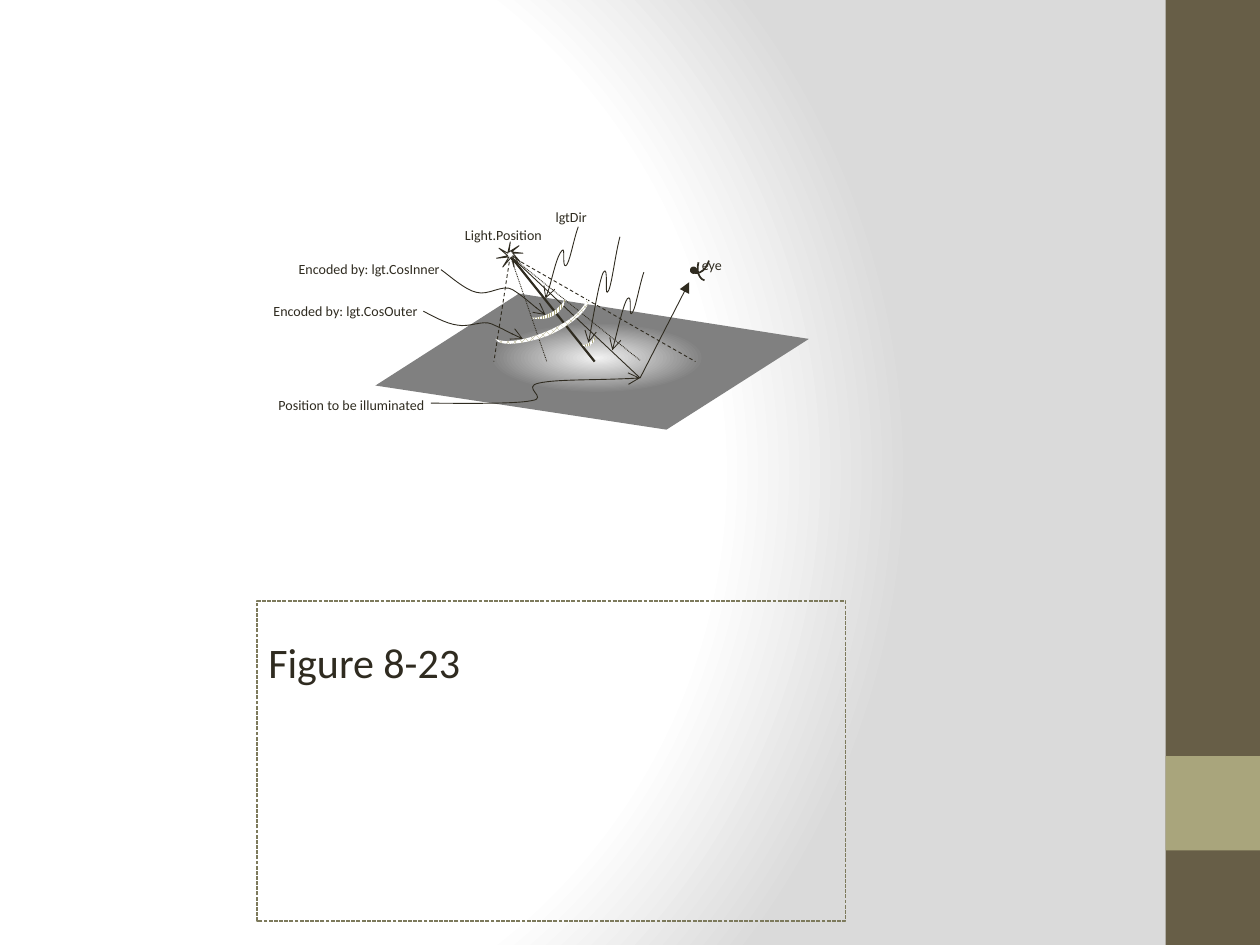
import lxml.etree
import pptx
import pptx.util
import pptx.dml.color
import pptx.enum.dml
import pptx.enum.shapes
import pptx.oxml
import pptx.oxml.ns

qn = pptx.oxml.ns.qn
DASH = pptx.enum.dml.MSO_LINE
PATTERN = pptx.enum.dml.MSO_PATTERN
SHAPE = pptx.enum.shapes.MSO_SHAPE

COLORS = {"ink": "2F2B20", "brown": "675E47", "olive": "A9A57C", "frame": "7D7A5C",
          "white": "FFFFFF", "edge": "DADADA", "plane": "808080", "glow": "F2F2F2"}

BARS = [(9.25, 0, 0.75, 7.5, "brown"), (9.25, 6, 0.75, 0.75, "olive")]
FRAME = (2.04, 4.77, 4.67, 2.54)
PLANE = [(2.98, 3.06), (4.12, 2.33), (6.42, 2.69), (5.29, 3.41)]
GLOW = {"center": (4.74, 2.84), "size": (1.66, 0.54), "steps": 30}

LIGHT = (4.05, 2.03)
RAYS = [((4.34, 2.87), 0.5, DASH.ROUND_DOT), ((5.52, 2.87), 0.5, DASH.DASH),
        ((3.92, 2.87), 0.5, DASH.DASH), ((4.72, 2.87), 1.25, None),
        ((5.08, 3), 0.5, None), ((5.08, 2.86), 0.5, DASH.ROUND_DOT)]
EYE_RAY = ((5.47, 2.24), (5.08, 3))

ANGLE_BANDS = [
    ([(4.67, 2.37), (4.69, 2.47), (4.48, 2.61), (4.36, 2.66), (4.24, 2.71), (3.97, 2.77),
      (3.93, 2.69), (4.02, 2.73), (4.17, 2.7), (4.34, 2.63), (4.51, 2.56), (4.62, 2.47),
      (4.66, 2.38)], PATTERN.LARGE_CHECKER_BOARD),
    ([(4.72, 2.67), (4.74, 2.71), (4.69, 2.73), (4.68, 2.74), (4.68, 2.75), (4.7, 2.74),
      (4.69, 2.74), (4.67, 2.75), (4.62, 2.76), (4.62, 2.73), (4.63, 2.76), (4.72, 2.7),
      (4.72, 2.67)], PATTERN.LIGHT_VERTICAL),
    ([(4.48, 2.37), (4.5, 2.41), (4.44, 2.48), (4.4, 2.5), (4.36, 2.53), (4.24, 2.55),
      (4.22, 2.52), (4.26, 2.53), (4.35, 2.5), (4.41, 2.46), (4.46, 2.41), (4.47, 2.41),
      (4.48, 2.37)], PATTERN.LIGHT_VERTICAL)]

STAR = [(3.96, 1.97), (4.03, 2.01), (4.05, 1.92), (4.04, 2), (4.12, 1.95), (4.06, 2),
        (4.15, 2.01), (4.07, 2.01), (4.13, 2.08), (4.07, 2.03), (4.08, 2.12), (4.06, 2.04),
        (3.99, 2.12), (4.04, 2.04), (3.94, 2.05), (4.03, 2.03)]

POINTERS = [
    ([(5.11, 2.16), (5.07, 2.28), (5.04, 2.48), (5.01, 2.49), (4.99, 2.5), (5.02, 2.33),
      (4.98, 2.37), (4.95, 2.41), (4.88, 2.71), (4.86, 2.78)], "tailEnd"),
    ([(4.59, 1.8), (4.55, 1.91), (4.52, 2.1), (4.49, 2.11), (4.46, 2.12), (4.49, 1.95),
      (4.46, 1.99), (4.42, 2.03), (4.36, 2.31), (4.33, 2.37)], "tailEnd"),
    ([(4.92, 1.88), (4.88, 2.03), (4.85, 2.31), (4.82, 2.32), (4.8, 2.34), (4.83, 2.1),
      (4.79, 2.16), (4.76, 2.21), (4.69, 2.62), (4.67, 2.72)], "tailEnd"),
    ([(5.08, 3), (4.73, 3.02), (4.42, 3.01), (4.28, 3.04), (4.13, 3.07), (4.36, 3.16),
      (4.22, 3.18), (4.08, 3.21), (3.56, 3.2), (3.42, 3.2)], "headEnd"),
    ([(4.33, 2.5), (4.32, 2.5), (4.15, 2.35), (4.07, 2.3), (3.99, 2.25), (3.88, 2.35),
      (3.78, 2.32), (3.69, 2.3), (3.57, 2.19), (3.5, 2.14)], "headEnd"),
    ([(4.15, 2.69), (4.14, 2.69), (3.97, 2.6), (3.9, 2.57), (3.83, 2.54), (3.72, 2.6),
      (3.63, 2.58), (3.54, 2.57), (3.42, 2.5), (3.36, 2.47)], "headEnd")]

LABELS = [("eye", 5.57, 1.99, 0.19, 0.24, 8),
          ("Light.Position", 3.69, 1.75, 0.64, 0.24, 8),
          ("Position to be illuminated", 2.21, 3.1, 1.19, 0.24, 8),
          ("Encoded by: lgt.CosOuter", 2.17, 2.35, 1.19, 0.24, 8),
          ("Encoded by: lgt.CosInner", 2.37, 2.02, 1.19, 0.24, 8),
          ("lgtDir", 4.41, 1.61, 0.28, 0.24, 8),
          ("Figure 8-23", 2.13, 5, 3.93, 0.5, 24)]


def cm(inches):
    return pptx.util.Cm(inches * 2.54)


def rgb(name):
    return pptx.dml.color.RGBColor.from_string(COLORS.get(name, name))


def stroke(sp, color="ink", width=0.5, dash=None, end=None, head="arrow"):
    sp.line.color.rgb = rgb(color)
    sp.line.width = pptx.util.Pt(width)
    if dash:
        sp.line.dash_style = dash
    if end:
        ln = sp.line._get_or_add_ln()
        lxml.etree.SubElement(ln, qn("a:" + end), type=head)


def fill(sp, color=None):
    if color:
        sp.fill.solid()
        sp.fill.fore_color.rgb = rgb(color)
    else:
        sp.fill.background()
    sp.line.fill.background()
    sp.shadow.inherit = False
    return sp


def preset(shapes, kind, box, color=None):
    return fill(shapes.add_shape(kind, *map(cm, box)), color)


def outline(points, color=None, close=True, curved=False):
    pts = [(cm(x), cm(y)) for x, y in points]
    fb = s.shapes.build_freeform(*pts[0], scale=1.0)
    fb.add_line_segments(pts[1:], close=close)
    sp = fill(fb.convert_to_shape(), color)
    if curved:
        path = sp._element.find(".//" + qn("a:path"))
        for i, seg in enumerate(path.findall(qn("a:lnTo"))):
            if i % 3 == 0:
                seg.tag, curve = qn("a:cubicBezTo"), seg
            else:
                curve.append(seg[0])
                path.remove(seg)
    return sp


def line(start, stop, **style):
    c = s.shapes.add_connector(1, *map(cm, start + stop))
    stroke(c, **style)
    lxml.etree.SubElement(c._element.spPr, qn("a:effectLst"))


def label(text, x, y, w, h, size):
    tf = s.shapes.add_textbox(*map(cm, (x, y, w, h))).text_frame
    for key, value in {"word_wrap": True, "margin_left": 0, "margin_right": 0,
                       "margin_top": cm(0.05), "margin_bottom": cm(0.05)}.items():
        setattr(tf, key, value)
    r = tf.paragraphs[0].add_run()
    r.text = text
    for key, value in {"name": "Calibri", "size": pptx.util.Pt(size)}.items():
        setattr(r.font, key, value)
    r.font.color.rgb = rgb("ink")


def blend(a, b, t):
    return "".join(f"{round(u + (v - u) * t):02X}" for u, v in zip(rgb(a), rgb(b)))


prs = pptx.Presentation()
prs.slide_width, prs.slide_height = cm(10), cm(7.5)
s = prs.slides.add_slide(prs.slide_layouts[6])

s.background.fill.solid()
bg = s._element.cSld.find(".//" + qn("p:bgPr"))
stops = "".join(f'<a:gs pos="{pos}000"><a:srgbClr val="{COLORS[c]}"/></a:gs>'
                for pos, c in [(0, "white"), (75, "white"), (100, "edge")])
bg.replace(bg[0], pptx.oxml.parse_xml(
    f'<a:gradFill {pptx.oxml.ns.nsdecls("a")} rotWithShape="1"><a:gsLst>{stops}</a:gsLst>'
    '<a:path path="circle"><a:fillToRect l="20000" t="50000" r="100000" b="50000"/></a:path>'
    '</a:gradFill>'))

for *box, color in BARS:
    preset(s.shapes, SHAPE.RECTANGLE, box, color)
stroke(preset(s.shapes, SHAPE.RECTANGLE, FRAME), "frame", 0.75, DASH.SQUARE_DOT)

outline(PLANE, "plane")
(cx, cy), (gw, gh), steps = GLOW.values()
for i in range(1, steps + 1):
    k = 1 - (i - 1) / steps
    preset(s.shapes, SHAPE.OVAL, (cx - gw * k / 2, cy - gh * k / 2, gw * k, gh * k),
           blend("plane", "glow", i / steps))

for stop, width, dash in RAYS:
    line(LIGHT, stop, width=width, dash=dash)
for points, pattern in ANGLE_BANDS:
    sp = outline(points, curved=True)
    sp.fill.patterned()
    sp.fill.pattern = pattern
    sp.fill.fore_color.rgb, sp.fill.back_color.rgb = rgb("olive"), rgb("white")

eye = s.shapes.add_group_shape()
for x, y, flip in [(5.54, 1.98, "0"), (5.46, 1.92, "1")]:
    sp = preset(eye.shapes, SHAPE.ARC, (x, y, 0.17, 0.25))
    sp.rotation = 195.7
    sp._element.spPr.xfrm.set("flipH", flip)
    stroke(sp, width=1)
stroke(preset(eye.shapes, SHAPE.OVAL, (5.49, 2.13, 0.03, 0.03), "olive"), width=2)

line(*EYE_RAY, end="headEnd", head="triangle")
stroke(outline(STAR, "white"))
for points, end in POINTERS:
    stroke(outline(points, close=False, curved=True), end=end)
for item in LABELS:
    label(*item)

prs.save("out.pptx")
